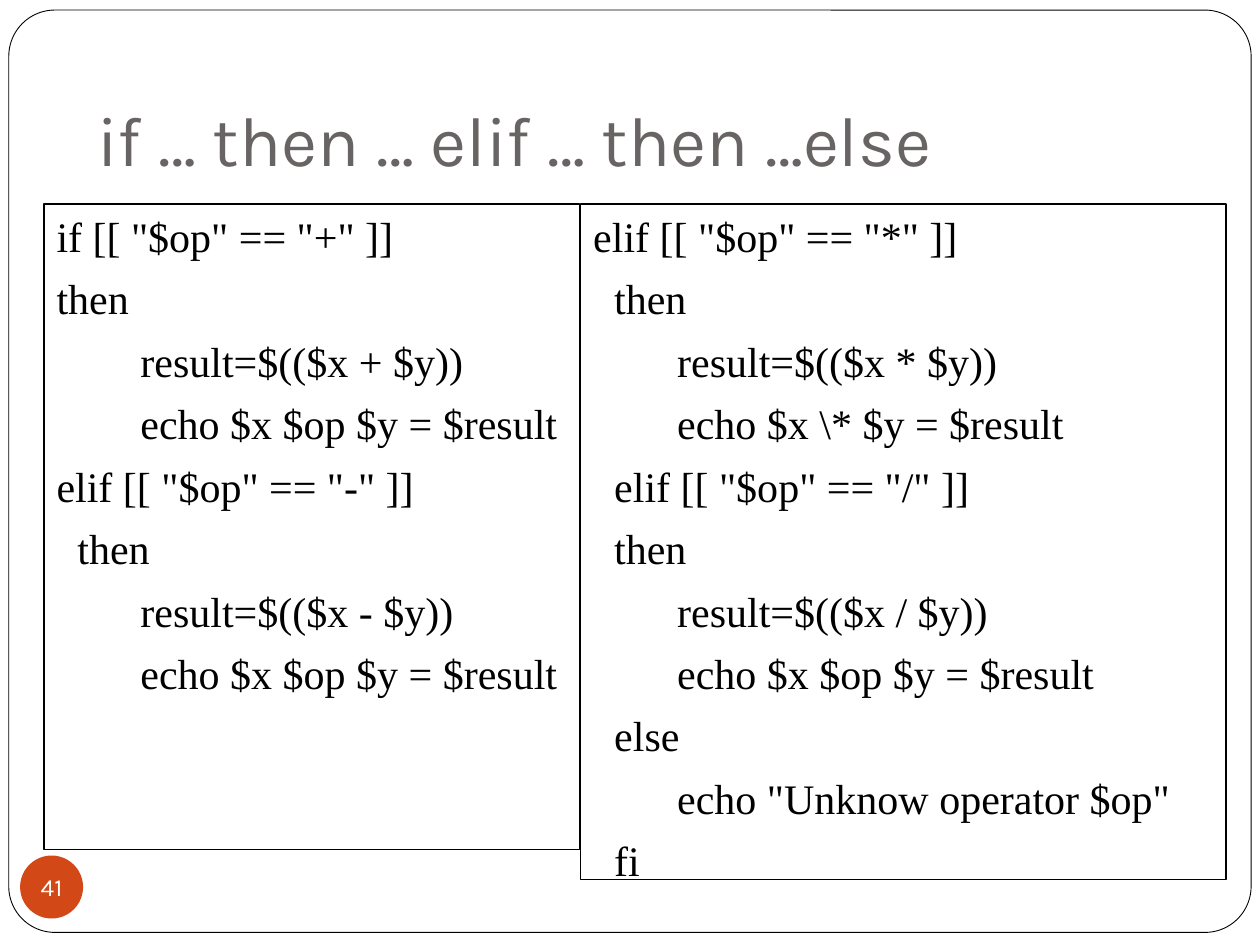
from pptx import Presentation
from pptx.dml.color import RGBColor
from pptx.enum import shapes, text
from pptx.util import Inches, Pt

TITLE = "if … then … elif … then …else"
PAGE_NUMBER = "41"
SPACE_WIDTH = 1 / 12
CODE_PANELS = [
    ((0.35, 1.62, 4.25, 5.12), [
        (0, 'if [[ "$op" == "+" ]]'),
        (0, "then"),
        (8, "result=$(($x + $y))"),
        (8, "echo $x $op $y = $result"),
        (0, 'elif [[ "$op" == "-" ]]'),
        (2, "then"),
        (8, "result=$(($x - $y))"),
        (8, "echo $x $op $y = $result"),
    ]),
    ((4.61, 1.62, 5.12, 5.36), [
        (0, 'elif [[ "$op" == "*" ]]'),
        (2, "then"),
        (8, "result=$(($x * $y))"),
        (8, "echo $x \\* $y = $result"),
        (2, 'elif [[ "$op" == "/" ]]'),
        (2, "then"),
        (8, "result=$(($x / $y))"),
        (8, "echo $x $op $y = $result"),
        (2, "else"),
        (8, 'echo "Unknow operator $op"'),
        (2, "fi"),
    ]),
]
COLORS = {"black": "000000", "white": "FFFFFF", "title": "696464", "badge": "D34817"}


def color(name):
    return RGBColor.from_string(COLORS[name])


def write(paragraph, content, *, font, size, fill, align=text.PP_ALIGN.LEFT,
          before=0, indent=0):
    paragraph.alignment = align
    paragraph.space_before = Pt(before)
    properties = paragraph._p.get_or_add_pPr()
    properties.set("marL", str(Inches(indent)))
    properties.set("indent", "0")
    run = paragraph.add_run()
    run.text = content
    run.font.name = font
    run.font.size = Pt(size)
    run.font.color.rgb = color(fill)


def set_frame(shape, anchor, insets, wrap=True):
    frame = shape.text_frame
    frame.auto_size = text.MSO_AUTO_SIZE.NONE
    frame.word_wrap = wrap
    frame.vertical_anchor = anchor
    (frame.margin_left, frame.margin_top,
     frame.margin_right, frame.margin_bottom) = map(Inches, insets)
    return frame


def add_box(slide, kind, box, fill=None, line_width=None):
    shape = slide.shapes.add_shape(kind, *map(Inches, box))
    shape.shadow.inherit = False
    if fill:
        shape.fill.solid()
        shape.fill.fore_color.rgb = color(fill)
    else:
        shape.fill.background()
    if line_width:
        shape.line.color.rgb = color("black")
        shape.line.width = Pt(line_width)
    else:
        shape.line.fill.background()
    return shape


def main():
    presentation = Presentation()
    presentation.slide_width, presentation.slide_height = Inches(10), Inches(7.5)
    slide = presentation.slides.add_slide(presentation.slide_layouts[5])
    kinds = shapes.MSO_SHAPE

    border = add_box(slide, kinds.ROUNDED_RECTANGLE, (0.07, 0.08, 9.86, 7.32), "white", 0.5)
    border.adjustments[0] = 0.05
    slide.shapes._spTree.insert(2, border._element)

    title = slide.shapes.title
    title.left, title.top, title.width, title.height = map(Inches, (0.67, 0.28, 8.5, 1.25))
    frame = set_frame(title, text.MSO_ANCHOR.BOTTOM, (0.1, 0.05, 0.1, 0.1))
    write(frame.paragraphs[0], TITLE, font="Karla", size=40, fill="title")

    for box, lines in CODE_PANELS:
        panel = add_box(slide, kinds.RECTANGLE, box, line_width=0.75)
        frame = set_frame(panel, text.MSO_ANCHOR.TOP, (0.1, 0.05, 0.1, 0.05))
        for number, (spaces, content) in enumerate(lines):
            paragraph = frame.add_paragraph() if number else frame.paragraphs[0]
            write(paragraph, content, font="Times New Roman", size=24, fill="black",
                  before=6.9, indent=spaces * SPACE_WIDTH)

    badge = add_box(slide, kinds.OVAL, (0.16, 6.79, 0.5, 0.5), "badge")
    frame = set_frame(badge, text.MSO_ANCHOR.MIDDLE, (0, 0, 0, 0), wrap=False)
    write(frame.paragraphs[0], PAGE_NUMBER, font="Karla", size=14, fill="white",
          align=text.PP_ALIGN.CENTER)

    presentation.save("out.pptx")


if __name__ == "__main__":
    main()
